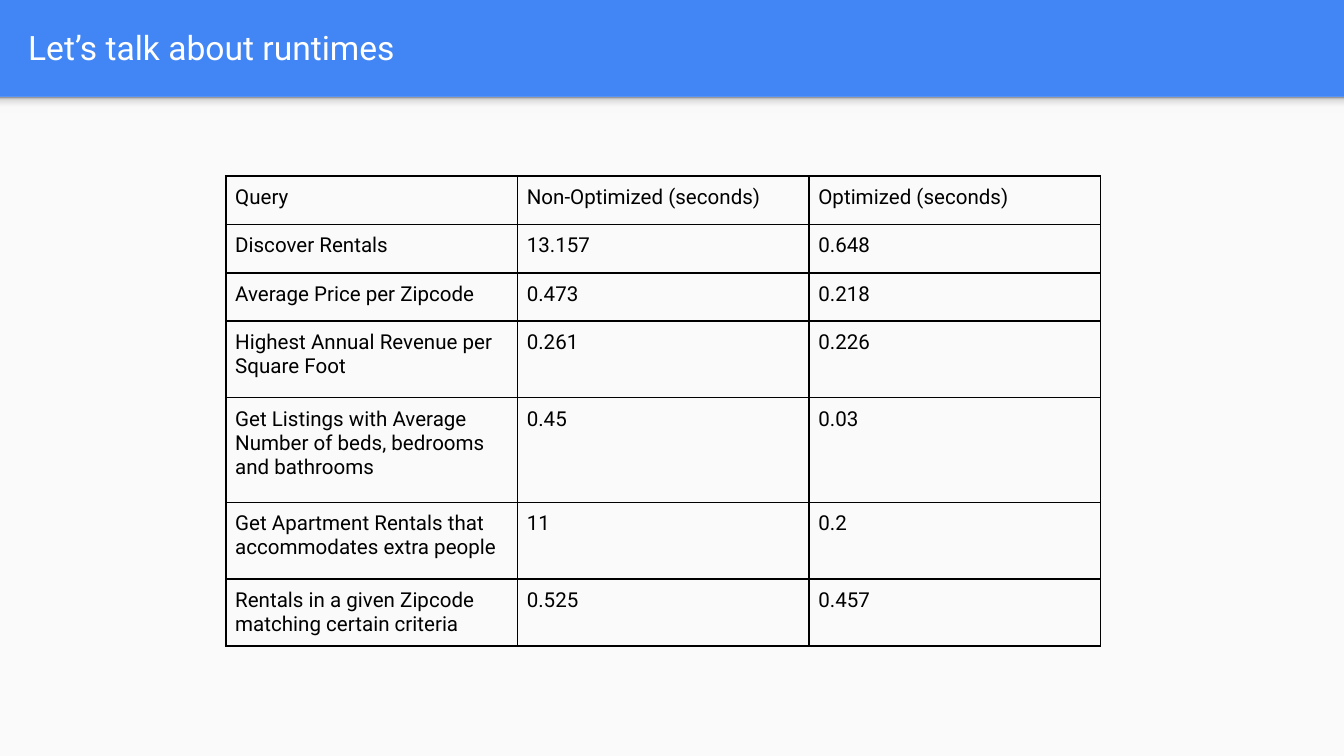
from copy import deepcopy

from pptx import Presentation
from pptx.dml.color import RGBColor
from pptx.enum.shapes import MSO_SHAPE as Shape
from pptx.enum.text import MSO_ANCHOR as Anchor, PP_ALIGN as Align
from pptx.oxml import parse_xml
from pptx.oxml.ns import nsdecls, qn
from pptx.util import Inches, Pt

BLUE = RGBColor(0x42, 0x85, 0xF4)
PAPER = RGBColor(0xFA, 0xFA, 0xFA)
WHITE = RGBColor(0xFF, 0xFF, 0xFF)
BLACK = RGBColor(0, 0, 0)
SHADE = [
    (0, RGBColor(0xF9, 0xF9, 0xF9)),
    (0.36, RGBColor(0xF9, 0xF9, 0xF9)),
    (0.8, RGBColor(0xDE, 0xDE, 0xDE)),
    (1, RGBColor(0x99, 0x99, 0x99)),
]

WIDTH = 10
HEIGHT = WIDTH * 9 / 16
BAND = 0.72
COLUMN = 2.17
ROW_HEIGHTS = [0.36, 0.36, 0.36, 0.57, 0.78, 0.57, 0.43]
TITLE_FONT = {"name": "Roboto", "size": Pt(18), "bold": False}
CELL_FONT = {"name": "Roboto", "size": Pt(11), "bold": False}
RUNTIMES = [
    ("Query", "Non-Optimized (seconds)", "Optimized (seconds)"),
    ("Discover Rentals", "13.157", "0.648"),
    ("Average Price per Zipcode", "0.473", "0.218"),
    ("Highest Annual Revenue per Square Foot", "0.261", "0.226"),
    ("Get Listings with Average Number of beds, bedrooms and bathrooms", "0.45", "0.03"),
    ("Get Apartment Rentals that accommodates extra people", "11", "0.2"),
    ("Rentals in a given Zipcode matching certain criteria", "0.525", "0.457"),
]


def set_all(target, values):
    """Set every attribute in values on target."""
    for name, value in values.items():
        setattr(target, name, value)


def set_margins(target, margin):
    """Give a cell or text frame the same margin on all sides."""
    sides = ("left", "top", "right", "bottom")
    set_all(target, {f"margin_{side}": Inches(margin) for side in sides})


def write(para, text, font, color):
    """Put left-aligned, formatted text in a paragraph."""
    para.alignment = Align.LEFT
    span = para.add_run()
    span.text = text
    set_all(span.font, font)
    span.font.color.rgb = color


def add_strip(page, top, height):
    """Add a full-width rectangle without outline or shadow."""
    strip = page.shapes.add_shape(
        Shape.RECTANGLE, 0, Inches(top), Inches(WIDTH), Inches(height)
    )
    strip.shadow.inherit = False
    strip.line.fill.background()
    return strip


def fill_gradient(shape, stops, angle):
    """Fill a shape with a linear gradient of any number of stops."""
    shape.fill.gradient()
    stop_list = shape._element.spPr.find(qn("a:gradFill")).find(qn("a:gsLst"))
    for _ in range(len(stops) - len(stop_list)):
        stop_list.append(deepcopy(stop_list[-1]))
    for stop, (position, color) in zip(shape.fill.gradient_stops, stops):
        stop.position = position
        stop.color.rgb = color
    shape.fill.gradient_angle = angle


def add_title(page, text):
    """Place the title in the coloured band."""
    title = page.shapes.title
    place = {"left": 0.11, "top": 0.02, "width": 9.65, "height": 0.66}
    set_all(title, {name: Inches(value) for name, value in place.items()})
    frame = title.text_frame
    frame.vertical_anchor = Anchor.MIDDLE
    set_margins(frame, 0.1)
    write(frame.paragraphs[0], text, TITLE_FONT, WHITE)


def add_borders(cell, color, points):
    """Draw a solid line on each side of a cell."""
    properties = cell._tc.get_or_add_tcPr()
    for side in "LRTB":
        properties.append(parse_xml(
            f'<a:ln{side} {nsdecls("a")} w="{Pt(points)}"><a:solidFill>'
            f'<a:srgbClr val="{color}"/></a:solidFill></a:ln{side}>'
        ))


def add_runtime_table(page, left, top):
    """Add the bordered table of query runtimes."""
    columns = len(RUNTIMES[0])
    table = page.shapes.add_table(
        len(RUNTIMES), columns, Inches(left), Inches(top),
        Inches(COLUMN * columns), Inches(sum(ROW_HEIGHTS)),
    ).table
    set_all(table, {"first_row": False, "horz_banding": False})
    for column in table.columns:
        column.width = Inches(COLUMN)
    for row, height, texts in zip(table.rows, ROW_HEIGHTS, RUNTIMES):
        row.height = Inches(height)
        for cell, text in zip(row.cells, texts):
            set_margins(cell, 0.07)
            add_borders(cell, BLACK, 1)
            cell.fill.background()
            write(cell.text_frame.paragraphs[0], text, CELL_FONT, BLACK)


def main():
    """Build and save the runtimes slide."""
    deck = Presentation()
    set_all(deck, {"slide_width": Inches(WIDTH), "slide_height": Inches(HEIGHT)})
    page = deck.slides.add_slide(deck.slide_layouts.get_by_name("Title Only"))
    page.background.fill.solid()
    page.background.fill.fore_color.rgb = BLUE
    panel = add_strip(page, BAND, HEIGHT - BAND)
    panel.fill.solid()
    panel.fill.fore_color.rgb = PAPER
    fill_gradient(add_strip(page, BAND, 0.12), SHADE, 90)
    add_title(page, "Let’s talk about runtimes")
    add_runtime_table(page, 1.68, 1.31)
    deck.save("out.pptx")


if __name__ == "__main__":
    main()
